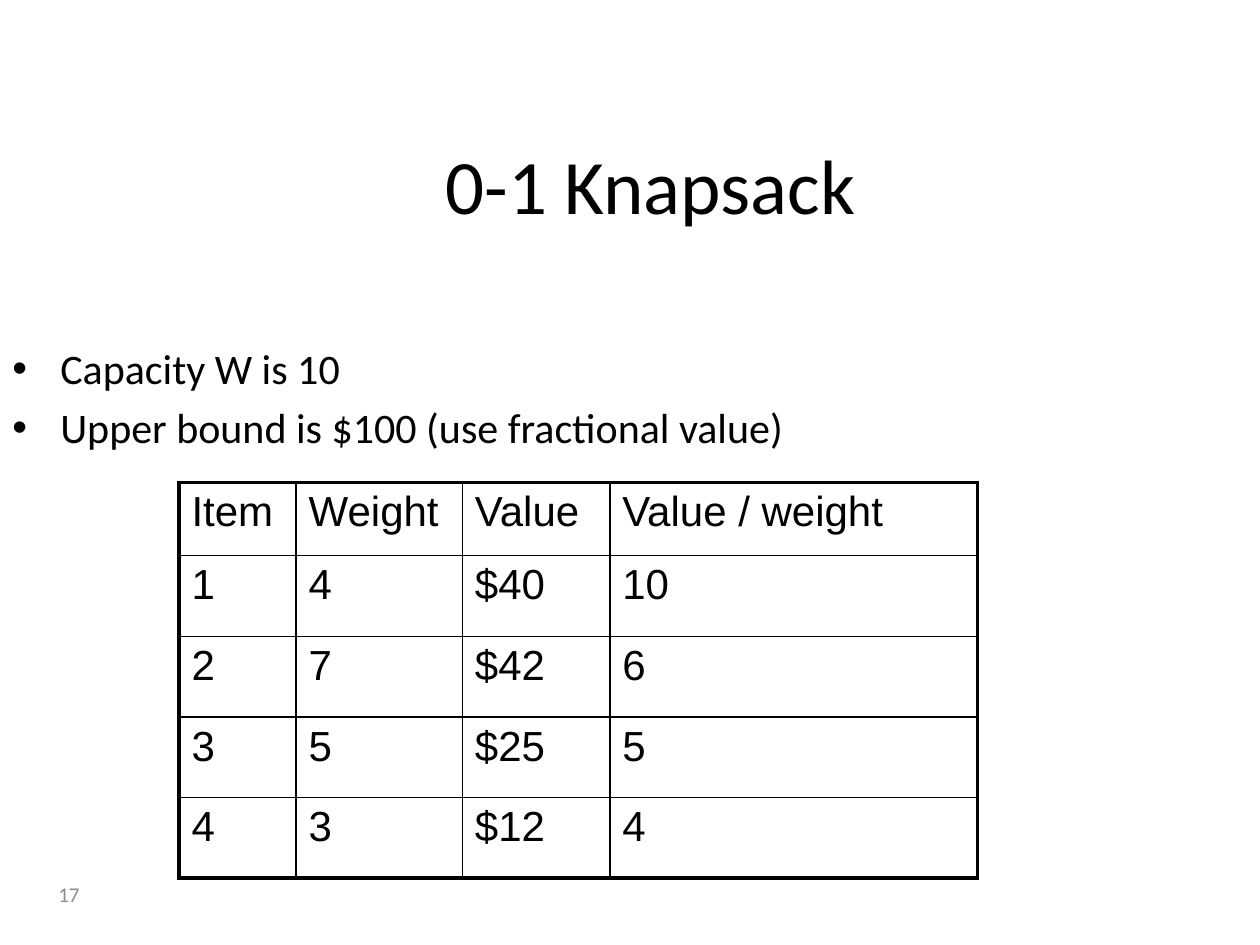
import pptx
import pptx.util
import pptx.dml.color
import pptx.enum.text
import pptx.oxml
import pptx.oxml.ns
from lxml import etree

Inches, Pt = pptx.util.Inches, pptx.util.Pt
PP_ALIGN, MSO_ANCHOR = pptx.enum.text.PP_ALIGN, pptx.enum.text.MSO_ANCHOR
BLACK, GREY = "000000", "8C8C8C"
THIN, THICK = 1, 2.25
COL_WIDTHS = [0.93, 1.32, 1.17, 2.92]
ROW_HEIGHTS = [0.58] + [0.64] * 4
ITEMS = [
    ["Item", "Weight", "Value", "Value / weight"],
    ["1", "4", "$40", "10"],
    ["2", "7", "$42", "6"],
    ["3", "5", "$25", "5"],
    ["4", "3", "$12", "4"],
]
FACTS = ["Capacity W is 10", "Upper bound is $100 (use fractional value)"]


def rgb(value):
    """Return the colour for a hex string."""
    return pptx.dml.color.RGBColor.from_string(value)


def add_run(p, text, size, font="Calibri", color=BLACK):
    """Append a formatted run to a paragraph."""
    r = p.add_run()
    r.text = text
    r.font.size = Pt(size)
    r.font.name = font
    r.font.color.rgb = rgb(color)


def set_title(s, text):
    """Place and fill the title placeholder."""
    sp = s.shapes.title
    sp.left, sp.top = Inches(0.83), Inches(0.83)
    sp.width, sp.height = Inches(8.67), Inches(1.25)
    tf = sp.text_frame
    tf.vertical_anchor = MSO_ANCHOR.MIDDLE
    p = tf.paragraphs[0]
    p.alignment = PP_ALIGN.CENTER
    add_run(p, text, 44)


def add_text_box(s, left, top, width, height):
    """Add a wrapping text box and return its text frame."""
    sp = s.shapes.add_textbox(Inches(left), Inches(top), Inches(width), Inches(height))
    sp.text_frame.word_wrap = True
    return sp.text_frame


def set_bullet(p):
    """Give a paragraph a hanging round bullet."""
    pPr = p._p.get_or_add_pPr()
    pPr.set("marL", str(Inches(0.38)))
    pPr.set("indent", str(-Inches(0.38)))
    etree.SubElement(pPr, pptx.oxml.ns.qn("a:buFont"), typeface="Arial")
    etree.SubElement(pPr, pptx.oxml.ns.qn("a:buChar"), char="•")


def add_bullets(s, texts):
    """Add the bulleted facts."""
    tf = add_text_box(s, 0, 2.67, 7.58, 3.75)
    for i, text in enumerate(texts):
        p = tf.add_paragraph() if i else tf.paragraphs[0]
        p.space_before = Pt(4.8 if i else 0)
        set_bullet(p)
        add_run(p, text, 24)


def set_border(cell, side, width):
    """Draw one black side of a cell."""
    ln = pptx.oxml.parse_xml(
        f'<a:{side} {pptx.oxml.ns.nsdecls("a")} w="{Pt(width)}"><a:solidFill>'
        f'<a:srgbClr val="{BLACK}"/></a:solidFill></a:{side}>'
    )
    cell._tc.get_or_add_tcPr().append(ln)


def add_item_table(s, rows):
    """Add the item table with a thick frame and thin inner lines."""
    n_rows, n_cols = len(rows), len(rows[0])
    table = s.shapes.add_table(
        n_rows, n_cols, Inches(1.42), Inches(3.83),
        Inches(sum(COL_WIDTHS)), Inches(sum(ROW_HEIGHTS)),
    ).table
    table.first_row = table.horz_banding = False
    for col, width in zip(table.columns, COL_WIDTHS):
        col.width = Inches(width)
    for row, height in zip(table.rows, ROW_HEIGHTS):
        row.height = Inches(height)
    for i, values in enumerate(rows):
        for j, value in enumerate(values):
            cell = table.cell(i, j)
            add_run(cell.text_frame.paragraphs[0], value, 24, "Arial")
            outer = {"lnL": j == 0, "lnR": j == n_cols - 1,
                     "lnT": i == 0, "lnB": i == n_rows - 1}
            for side, is_outer in outer.items():
                set_border(cell, side, THICK if is_outer else THIN)
            cell.fill.background()


def add_page_number(s, text):
    """Add the grey page number."""
    tf = add_text_box(s, 0.09, 6.83, 0.64, 0.53)
    tf.vertical_anchor = MSO_ANCHOR.MIDDLE
    p = tf.paragraphs[0]
    p.alignment = PP_ALIGN.RIGHT
    add_run(p, text, 12, color=GREY)


def main():
    """Build the slide and save it."""
    prs = pptx.Presentation()
    prs.slide_width, prs.slide_height = Inches(10), Inches(7.5)
    s = prs.slides.add_slide(prs.slide_layouts[5])
    set_title(s, "0-1 Knapsack")
    add_item_table(s, ITEMS)
    add_bullets(s, FACTS)
    add_page_number(s, "17")
    prs.save("out.pptx")


if __name__ == "__main__":
    main()
